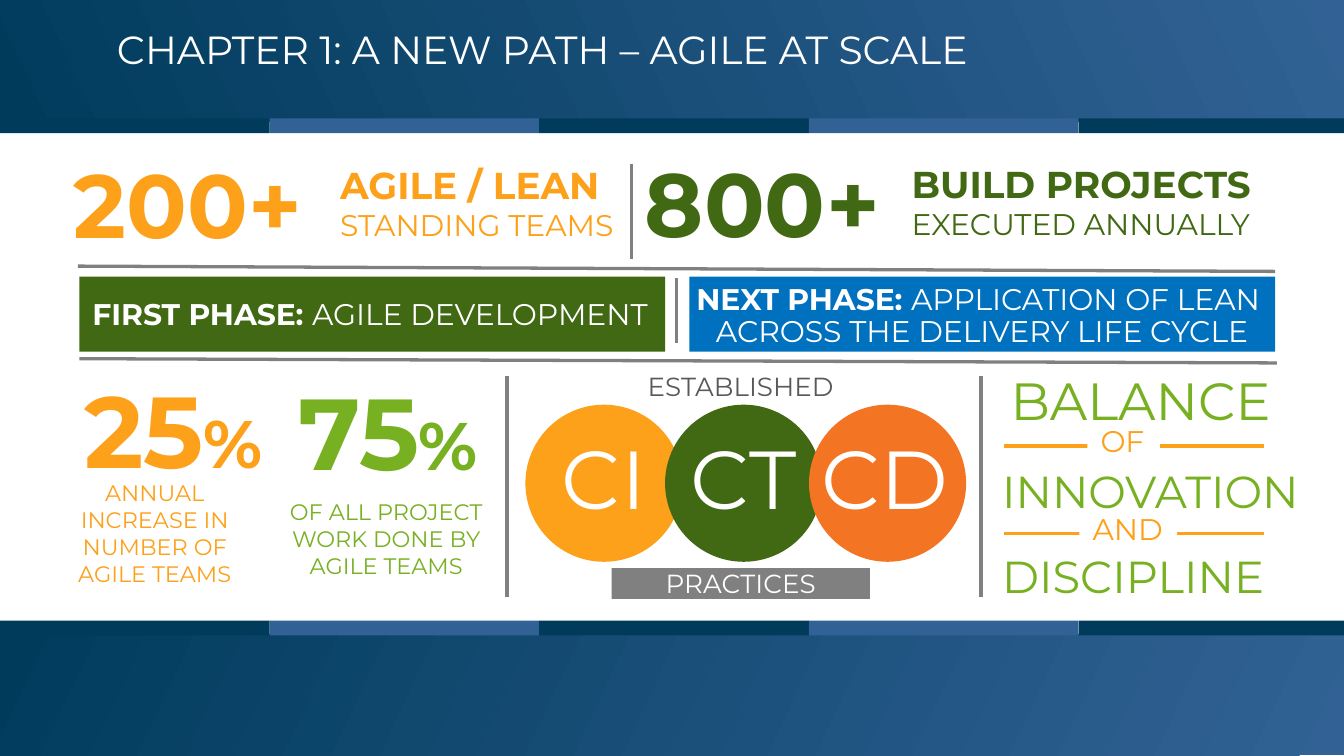
from lxml.etree import SubElement
from pptx import Presentation
from pptx.dml.color import RGBColor
from pptx.enum.shapes import MSO_CONNECTOR, MSO_SHAPE
from pptx.enum.text import MSO_ANCHOR, MSO_AUTO_SIZE, PP_ALIGN
from pptx.oxml.ns import qn
from pptx.util import Cm, Pt

FONT = "Montserrat"
COLORS = {
    "navy": "003B5C", "steel": "326295", "white": "FFFFFF", "gray": "808080",
    "dark_gray": "595959", "amber": "FDA01A", "forest": "416812",
    "lime": "77B021", "blue": "0071BF", "orange": "F37422",
}


def rgb(name):
    return RGBColor.from_string(COLORS[name])


def cm(box):
    return [Cm(v) for v in box]


def write(tf, paragraphs, color, align=PP_ALIGN.LEFT, spacing=None):
    """Each paragraph is a list of (text, size, bold) runs."""
    for i, runs in enumerate(paragraphs):
        p = tf.add_paragraph() if i else tf.paragraphs[0]
        p.alignment = align
        if spacing:
            p.line_spacing = spacing
        for text, size, bold in runs:
            r = p.add_run()
            r.text = text
            r.font.name, r.font.size, r.font.bold = FONT, Pt(size), bold
            r.font.color.rgb = rgb(color)


def add_text(parent, box, paragraphs, color, center=False, wrap=True, spacing=None):
    sp = parent.shapes.add_textbox(*cm(box))
    tf = sp.text_frame
    tf.word_wrap = wrap
    tf.auto_size = MSO_AUTO_SIZE.SHAPE_TO_FIT_TEXT
    write(tf, paragraphs, color, PP_ALIGN.CENTER if center else PP_ALIGN.LEFT, spacing)
    return sp


def add_shape(parent, box, color, kind=MSO_SHAPE.RECTANGLE):
    sp = parent.shapes.add_shape(kind, *cm(box))
    sp.shadow.inherit = False
    sp.fill.solid()
    sp.fill.fore_color.rgb = rgb(color)
    sp.line.fill.background()
    return sp


def add_line(s, x1, y1, x2, y2, color="gray"):
    line = s.shapes.add_connector(MSO_CONNECTOR.STRAIGHT, *cm((x1, y1, x2, y2)))
    line.line.color.rgb = rgb(color)
    line.line.width = Pt(1.75)
    SubElement(line.element.spPr, qn("a:effectLst"))


def band(s, box, stops, angle, strip_y):
    """Gradient band with a strip of five alternating blocks."""
    x, y, w, h = box
    sp = add_shape(s, box, "navy")
    sp.fill.gradient()
    sp.fill.gradient_angle = angle
    for stop, name in zip(sp.fill.gradient_stops, stops):
        stop.color.rgb = rgb(name)
    strip = s.shapes.add_group_shape()
    for i in range(5):
        block = (x + i * w / 5, y + strip_y, w / 5, 0.28)
        add_shape(strip, block, ("navy", "steel")[i % 2])


def title(s, box, text):
    sp = s.shapes.title
    sp.element.getparent().append(sp.element)  # bring in front of the bands
    sp.left, sp.top, sp.width, sp.height = cm(box)
    tf = sp.text_frame
    tf.text = text
    tf.auto_size = MSO_AUTO_SIZE.NONE
    tf.vertical_anchor = MSO_ANCHOR.MIDDLE
    tf.margin_left, tf.margin_bottom = Cm(0.46), Cm(1.03)
    p = tf.paragraphs[0]
    p.alignment = PP_ALIGN.LEFT
    font = p.runs[0].font
    font.name, font.size = FONT, Pt(21)
    font.color.rgb = rgb("white")


def headline(s, box, number, name, detail, color):
    x, y, w, h = box
    add_text(s, (x, y, 5.17, h), [[(number, 48, True)]], color, wrap=False)
    add_text(s, (x + 5.04, y + 0.25, w - 5.04, 1.8),
             [[(name, 20, True)], [(detail, 16, False)]], color, wrap=False)


def phase(s, box, color, label, lines, text_box, spacing=None):
    x, y, _, _ = box
    dx, dy, w, h = text_box
    add_shape(s, box, color)
    paragraphs = [[(line, 16, False)] for line in lines]
    paragraphs[0].insert(0, (label, 16, True))
    add_text(s, (x + dx, y + dy, w, h), paragraphs, "white", True, spacing=spacing)


def percentage(s, box, number, caption, caption_box, color):
    x, y, _, _ = box
    dx, dy, w, h = caption_box
    add_text(s, box, [[(number, 54, True), ("%", 36, True)]], color, True)
    add_text(s, (x + dx, y + dy, w, h), [[(caption, 12, False)]], color, True)


def practices(s, box):
    x, y, _, h = box
    size = 2.97
    # Overlapping circles: letters, left, colour, text left, text width
    for letters, dx, color, text_dx, text_w in (
            ("CI", 0, "amber", 0, size),
            ("CT", 2.64, "forest", 2.64, size),
            ("CD", 5.36, "orange", 5.01, 3.56)):
        group = s.shapes.add_group_shape()
        add_shape(group, (x + dx, y + 0.64, size, size), color, MSO_SHAPE.OVAL)
        add_text(group, (x + text_dx, y + 0.94, text_w, 2.13),
                 [[(letters, 44, False)]], "white", True)
    # Labels above and below
    label_h = 0.58
    for text, dy, color in (("ESTABLISHED", 0, "dark_gray"),
                            ("PRACTICES", h - label_h, "white")):
        sp = add_shape(s, (x + 1.63, y + dy, 4.88, label_h), "gray")
        if dy == 0:
            sp.fill.background()
        tf = sp.text_frame
        tf.margin_top = tf.margin_bottom = 0
        tf.vertical_anchor = MSO_ANCHOR.MIDDLE
        write(tf, [[(text, 14, False)]], color, PP_ALIGN.CENTER)


def balance(s, box):
    x, y, w, _ = box
    # Joining words sit on a rule
    for text, dx, dy, word_w in (("OF", 1.86, 1.04, 1.37), ("AND", 1.71, 2.7, 1.85)):
        add_line(s, x + 0.28, y + dy + 0.56, x + 5.19, y + dy + 0.56, "amber")
        sp = add_text(s, (x + dx, y + dy, word_w, 0.94),
                      [[(text, 16, False)]], "amber", wrap=False)
        sp.fill.solid()
        sp.fill.fore_color.rgb = rgb("white")
    for text, dx, dy, word_w, word_h, size in (
            ("BALANCE", 0.16, 0, 5.61, 1.45, 28),
            ("INNOVATION", 0, 1.81, w, 1.27, 24),
            ("DISCIPLINE", 0, 3.41, 5.54, 1.27, 24)):
        add_text(s, (x + dx, y + dy, word_w, word_h),
                 [[(text, size, False)]], "lime", wrap=False)


def main():
    prs = Presentation()
    prs.slide_width, prs.slide_height = Cm(25.4), Cm(14.29)
    s = prs.slides.add_slide(prs.slide_layouts[5])

    # Header and footer
    band(s, (0, 0, 25.48, 2.29), ("navy", "steel"), 25, 2.24)
    band(s, (0, 11.99, 25.48, 2.29), ("steel", "navy"), 155, -0.26)
    title(s, (1.75, 0.03, 22.81, 2.69), "CHAPTER 1: A NEW PATH – AGILE AT SCALE")

    # Top row: headline numbers
    headline(s, (1.14, 2.69, 10.86, 2.31), "200+", "AGILE / LEAN",
             "STANDING TEAMS", "amber")
    headline(s, (11.94, 2.67, 12.2, 2.31), "800+", "BUILD PROJECTS",
             "EXECUTED ANNUALLY", "forest")

    # Middle row: phases
    phase(s, (1.5, 5.23, 11.07, 1.42), "forest", "FIRST PHASE: ",
          ["AGILE DEVELOPMENT "], (-0.13, 0.23, 11.4, 0.94))
    phase(s, (13.03, 5.23, 11.07, 1.42), "blue", "NEXT PHASE: ",
          ["APPLICATION OF LEAN ", "ACROSS THE DELIVERY LIFE CYCLE"],
          (-0.23, 0.03, 11.53, 1.5), 0.9)

    # Bottom row: growth, practices, balance
    percentage(s, (0, 6.83, 6.55, 2.57), "25",
               "ANNUAL INCREASE IN NUMBER OF AGILE TEAMS",
               (0.74, 2.11, 4.37, 2.31), "amber")
    percentage(s, (4.06, 6.86, 6.55, 2.57), "75",
               "OF ALL PROJECT WORK DONE BY AGILE TEAMS",
               (0.94, 2.44, 4.6, 1.8), "lime")
    practices(s, (9.93, 7.01, 8.33, 4.31))
    balance(s, (18.69, 6.83, 6.2, 4.68))

    # Dividers
    add_line(s, 1.47, 5.03, 24.1, 5.13)
    add_line(s, 1.5, 6.78, 24.13, 6.86)
    for x, top, bottom in ((11.94, 3.1, 4.9), (12.78, 5.26, 6.48),
                           (9.58, 7.11, 11.28), (18.54, 7.11, 11.28)):
        add_line(s, x, bottom, x, top)

    prs.save("out.pptx")


if __name__ == "__main__":
    main()
